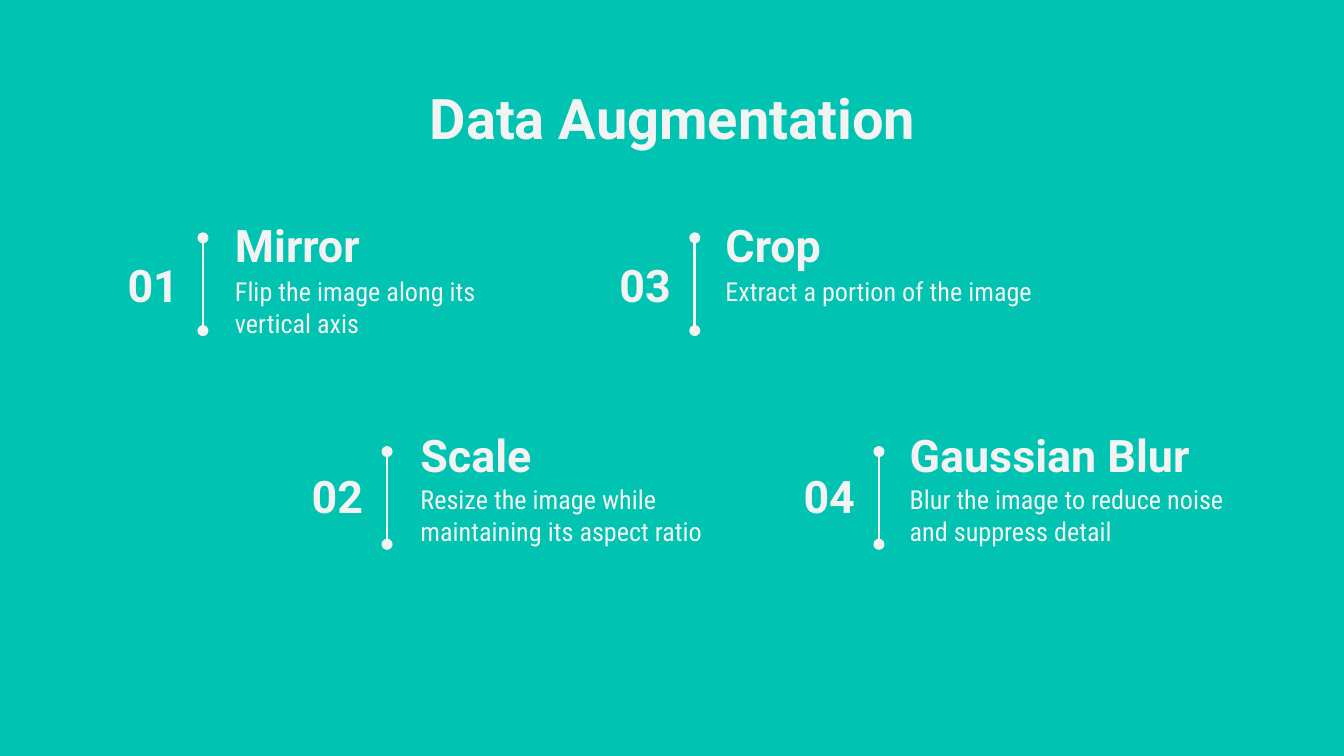
from lxml import etree
from pptx import Presentation
from pptx import util as u
from pptx.dml.color import RGBColor
from pptx.enum import shapes, text
from pptx.oxml.ns import qn

PALE = "F3F3F3"


def color(value):
    return RGBColor.from_string(value)


def add_text(words, left, top, width, height, size, font="Roboto", bold=True,
             align=text.PP_ALIGN.LEFT, anchor=text.MSO_ANCHOR.MIDDLE, inset=0.1):
    box = slide.shapes.add_textbox(u.Inches(left), u.Inches(top), u.Inches(width), u.Inches(height))
    frame = box.text_frame
    frame.word_wrap = True
    frame.vertical_anchor = anchor
    frame.margin_left = frame.margin_right = u.Inches(inset)
    frame.margin_top = frame.margin_bottom = u.Inches(inset)
    paragraph = frame.paragraphs[0]
    paragraph.text = words
    paragraph.alignment = align
    paragraph.font.name = font
    paragraph.font.size = u.Pt(size)
    paragraph.font.bold = bold
    paragraph.font.color.rgb = color(PALE)


deck = Presentation()
deck.slide_width = u.Inches(10)
deck.slide_height = u.Inches(10 * 9 / 16)
slide = deck.slides.add_slide(deck.slide_layouts[6])
slide.background.fill.solid()
slide.background.fill.fore_color.rgb = color("00C3B1")

add_text("Data Augmentation", 0.79, 0.56, 8.43, 0.63, 30,
         align=text.PP_ALIGN.CENTER, inset=0)

upper_row = (1.59, 1.95, 1.77, 1.89)
lower_row = (3.15, 3.5, 3.36, 3.46)
techniques = [
    ("01", "Mirror", "Flip the image along its vertical axis", 1.51, 1.65, upper_row),
    ("02", "Scale", "Resize the image while maintaining its aspect ratio", 2.88, 3.03, lower_row),
    ("03", "Crop", "Extract a portion of the image", 5.17, 5.3, upper_row),
    ("04", "Gaussian Blur", "Blur the image to reduce noise and suppress detail", 6.54, 6.67, lower_row),
]

for number, name, description, divider_x, name_left, row in techniques:
    name_top, description_top, divider_top, number_top = row
    add_text(name, name_left, name_top, 2.56, 0.46, 24)
    add_text(description, name_left, description_top, 2.56, 0.71, 14,
             font="Roboto Condensed", bold=False, anchor=text.MSO_ANCHOR.TOP)
    add_text(number, divider_x - 0.74, number_top, 0.66, 0.46, 24, align=text.PP_ALIGN.RIGHT)

    divider = slide.shapes.add_connector(
        shapes.MSO_CONNECTOR.STRAIGHT, u.Inches(divider_x), u.Inches(divider_top),
        u.Inches(divider_x), u.Inches(divider_top + 0.69))
    divider.line.color.rgb = color(PALE)
    divider.line.width = u.Pt(1.5)
    properties = divider._element.spPr
    outline = properties.find(qn("a:ln"))
    for end in ("a:headEnd", "a:tailEnd"):
        etree.SubElement(outline, qn(end), type="oval")
    etree.SubElement(properties, qn("a:effectLst"))

deck.save("out.pptx")
